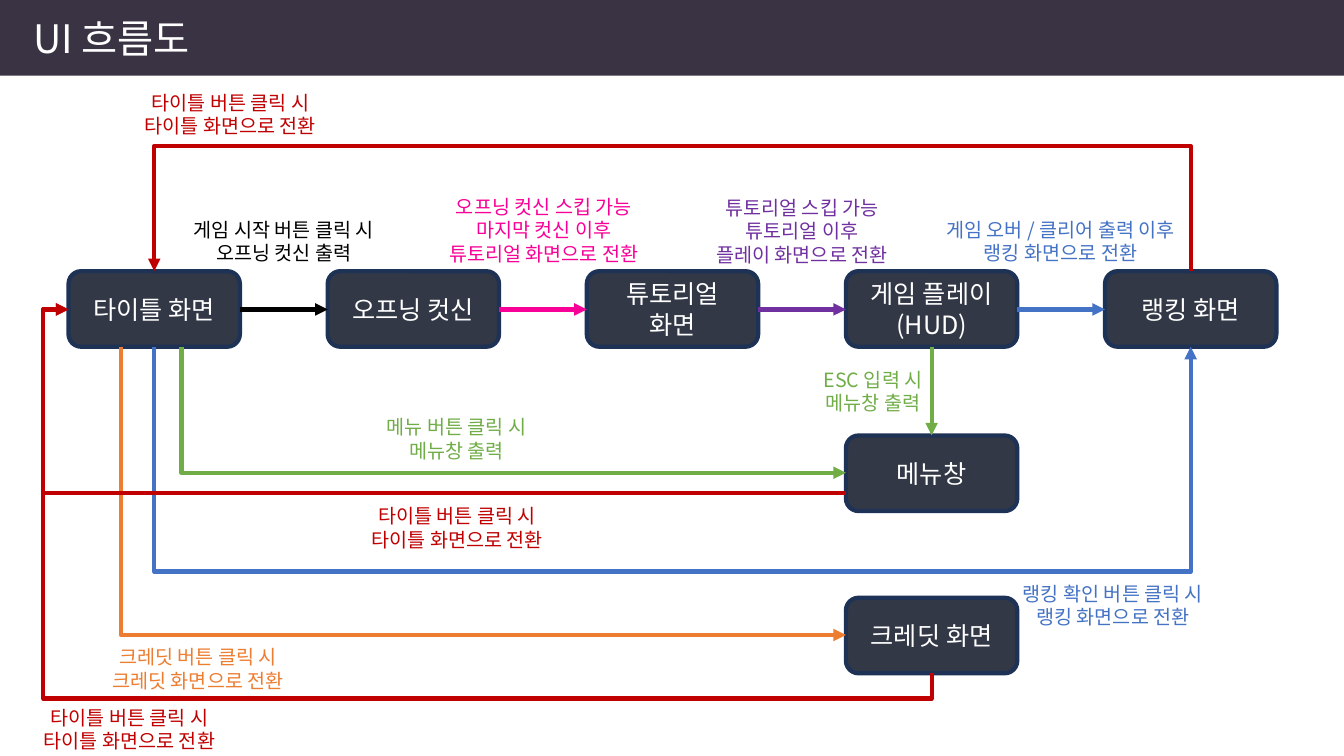
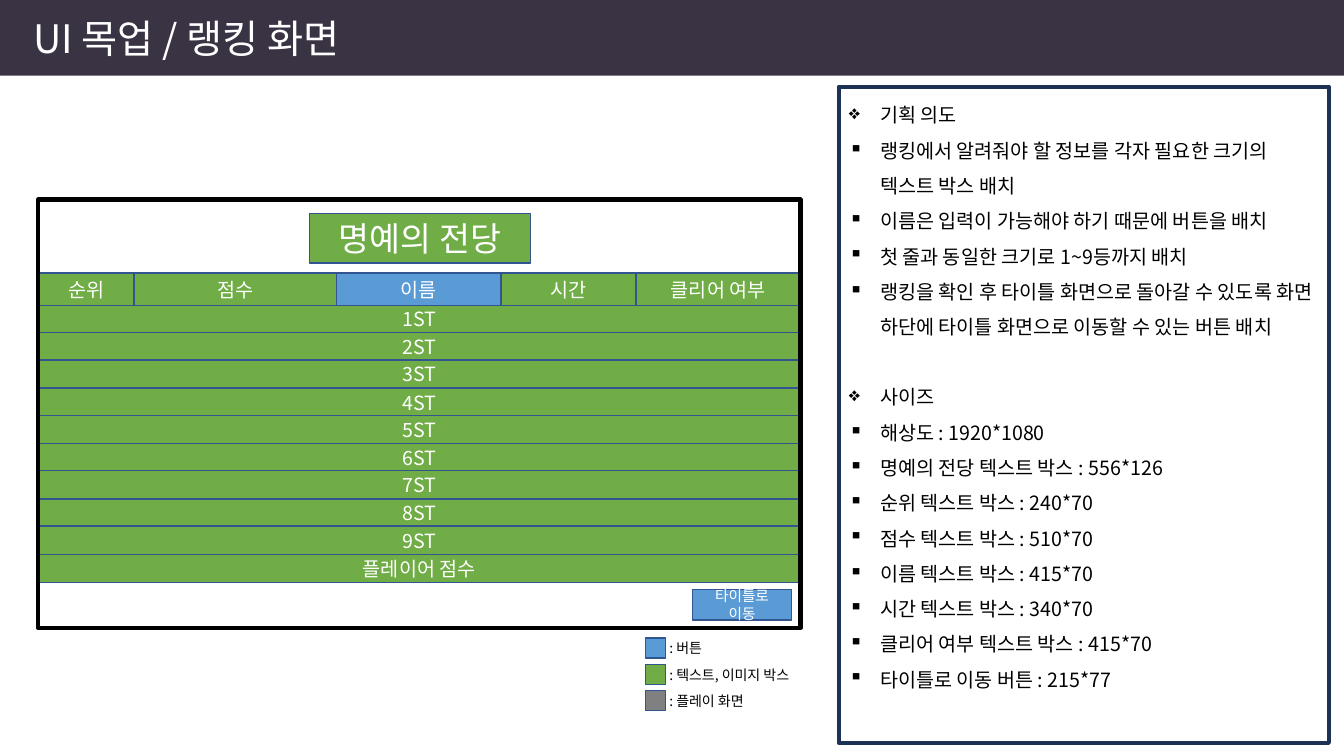
"""Build the UI flow chart slide and the ranking screen mock-up slide."""
from lxml import etree
from pptx import Presentation
from pptx import util as u
from pptx.dml.color import RGBColor
from pptx.enum import shapes, text
from pptx.oxml import ns

PX = 9144
FONT = "Noto Sans CJK KR"
WHITE = RGBColor(0xFF, 0xFF, 0xFF)
BLACK = RGBColor(0x00, 0x00, 0x00)
BAND = RGBColor(0x3A, 0x33, 0x43)
SCREEN = RGBColor(0x32, 0x38, 0x46)
NAVY = RGBColor(0x1E, 0x32, 0x56)
EDGE = RGBColor(0x32, 0x54, 0x91)
RED = RGBColor(0xC0, 0x00, 0x00)
PINK = RGBColor(0xF8, 0x00, 0x97)
PURPLE = RGBColor(0x70, 0x30, 0xA0)
BLUE = RGBColor(0x44, 0x72, 0xC4)
GREEN = RGBColor(0x70, 0xAD, 0x47)
ORANGE = RGBColor(0xED, 0x7D, 0x31)
SKY = RGBColor(0x5B, 0x9B, 0xD5)
GREY = RGBColor(0x80, 0x80, 0x80)
RECT = shapes.MSO_SHAPE.RECTANGLE
ROUND = shapes.MSO_SHAPE.ROUNDED_RECTANGLE
LEFT, CENTER = text.PP_ALIGN.LEFT, text.PP_ALIGN.CENTER
MIDDLE, TOP = text.MSO_ANCHOR.MIDDLE, text.MSO_ANCHOR.TOP


def block(slide, place, words="", size=14, ink=WHITE, align=CENTER, kind=None,
          fill=None, edge=None, weight=1, anchor=MIDDLE):
    """Add a preset shape, or a text box when no kind is given."""
    spot = [n * PX for n in place]
    if kind is None:
        shape = slide.shapes.add_textbox(*spot)
        frame_format = {"word_wrap": True, "vertical_anchor": TOP,
                        "auto_size": text.MSO_AUTO_SIZE.SHAPE_TO_FIT_TEXT}
    else:
        shape = slide.shapes.add_shape(kind, *spot)
        shape.shadow.inherit = False
        frame_format = {"word_wrap": True, "vertical_anchor": anchor}
        for part, colour in ((shape.fill, fill), (shape.line.fill, edge)):
            if colour is None:
                part.background()
            else:
                part.solid()
                part.fore_color.rgb = colour
        if edge is not None:
            shape.line.width = u.Pt(weight)
    frame = shape.text_frame
    for name, value in frame_format.items():
        setattr(frame, name, value)
    frame.text = words
    for paragraph in frame.paragraphs:
        paragraph.alignment = align
        for run in paragraph.runs:
            run.font.color.rgb = ink
            for name, value in {"size": u.Pt(size), "name": FONT}.items():
                setattr(run.font, name, value)
            etree.SubElement(run.font._element, ns.qn("a:ea"), typeface=FONT)
    return shape


def arrow(slide, colour, points):
    """Draw an arrow through the points, as a connector when it is straight."""
    if len(points) == 2:
        ends = [n * PX for point in points for n in point]
        route = slide.shapes.add_connector(shapes.MSO_CONNECTOR.STRAIGHT, *ends)
    else:
        builder = slide.shapes.build_freeform(*points[0], scale=PX)
        builder.add_line_segments(points[1:], close=False)
        route = builder.convert_to_shape()
        route.fill.background()
    route.line.color.rgb = colour
    route.line.width = u.Pt(3)
    properties = route._element.spPr
    etree.SubElement(properties.find(ns.qn("a:ln")), ns.qn("a:tailEnd"), type="triangle")
    etree.SubElement(properties, ns.qn("a:effectLst"))


deck = Presentation()
deck.slide_width, deck.slide_height = u.Inches(13.33), u.Inches(7.5)
pages = []
for title in ("UI 흐름도", "UI 목업 / 랭킹 화면"):
    page = deck.slides.add_slide(deck.slide_layouts[6])
    block(page, (0, 0, 1333, 75), kind=RECT, fill=BAND)
    block(page, (23, 9, 529, 57), title, 28, align=LEFT)
    pages.append(page)
flow, ranking = pages

SCREEN_W, SCREEN_H, STEP = 170, 75, 257
columns = [68 + STEP * i for i in range(5)]
main_row, menu_row, credit_row = 269, 432, 593
screens = list(zip(columns, [main_row] * 5, (
    "타이틀 화면", "오프닝 컷신", "튜토리얼 화면", "게임 플레이(HUD)", "랭킹 화면")))
screens += [(columns[3], menu_row, "메뉴창"), (columns[3], credit_row, "크레딧 화면")]

title_x, play_x, rank_x = [columns[i] + SCREEN_W // 2 for i in (0, 3, 4)]
menu_left, main_y, main_bottom = columns[3], 307, main_row + SCREEN_H
return_x = 43

for x, y, name in screens:
    block(flow, (x, y, SCREEN_W, SCREEN_H), name, 18, kind=ROUND,
          fill=SCREEN, edge=NAVY, weight=3)

for x, colour in zip(columns, (BLACK, PINK, PURPLE, BLUE)):
    arrow(flow, colour, [(x + SCREEN_W, main_y), (x + STEP, main_y)])

routes = [
    (GREEN, [(play_x, main_bottom), (play_x, menu_row)]),
    (ORANGE, [(120, main_bottom), (120, 630), (menu_left, 630)]),
    (BLUE, [(title_x, main_bottom), (title_x, 567), (rank_x, 567), (rank_x, main_bottom)]),
    (RED, [(rank_x, main_row), (rank_x, 145), (title_x, 145), (title_x, main_row)]),
    (GREEN, [(180, main_bottom), (180, 469), (menu_left, 469)]),
    (RED, [(menu_left, 489), (return_x, 489), (return_x, main_y), (columns[0], main_y)]),
    (RED, [(play_x, credit_row + SCREEN_H), (play_x, 693), (return_x, 693),
           (return_x, main_y), (columns[0], main_y)]),
]
for colour, points in routes:
    arrow(flow, colour, points)

to_title = "타이틀 버튼 클릭 시\n타이틀 화면으로 전환"
captions = [
    (156, 211, 251, BLACK, "게임 시작 버튼 클릭 시\n오프닝 컷신 출력"),
    (414, 188, 251, PINK, "오프닝 컷신 스킵 가능\n마지막 컷신 이후\n튜토리얼 화면으로 전환"),
    (670, 189, 251, PURPLE, "튜토리얼 스킵 가능\n튜토리얼 이후\n플레이 화면으로 전환"),
    (903, 211, 298, BLUE, "게임 오버 / 클리어 출력 이후\n랭킹 화면으로 전환"),
    (955, 572, 298, BLUE, "랭킹 확인 버튼 클릭 시\n랭킹 화면으로 전환"),
    (717, 360, 298, GREEN, "ESC 입력 시\n메뉴창 출력"),
    (304, 407, 298, GREEN, "메뉴 버튼 클릭 시\n메뉴창 출력"),
    (71, 635, 251, ORANGE, "크레딧 버튼 클릭 시\n크레딧 화면으로 전환"),
    (103, 85, 251, RED, to_title),
    (328, 495, 251, RED, to_title),
    (3, 695, 251, RED, to_title),
]
for x, y, width, colour, words in captions:
    line_count = words.count("\n") + 1
    block(flow, (x, y, width, 10 + 24 * line_count), words, ink=colour)

legend = ((SKY, ": 버튼"), (GREEN, ": 텍스트, 이미지 박스"), (GREY, ": 플레이 화면"))
for i, (colour, meaning) in enumerate(legend):
    y = 633 + 26 * i
    block(ranking, (640, y, 20, 20), kind=RECT, fill=colour, edge=EDGE)
    block(ranking, (654, y - 3, 170, 27), meaning, 10, BLACK, LEFT)

BOARD_X, BOARD_W = 38, 756
ranks = [f"{n}ST" for n in range(1, 10)] + ["플레이어 점수"]
cells = [(BOARD_X, round(302 + i * 248 / 9), BOARD_W, 28, rank, 14, GREEN)
         for i, rank in enumerate(ranks)]
x = BOARD_X
for heading, width, colour in (("순위", 95, GREEN), ("점수", 201, GREEN), ("이름", 163, SKY),
                               ("시간", 134, GREEN), ("클리어 여부", 163, GREEN)):
    cells.append((x, 271, width, 32, heading, 14, colour))
    x += width
cells += [(307, 212, 219, 49, "명예의 전당", 24, GREEN),
          (687, 585, 98, 30, "타이틀로 이동", 10.5, SKY)]
for *place, words, size, colour in cells:
    block(ranking, place, words, size, kind=RECT, fill=colour, edge=EDGE)
block(ranking, (BOARD_X, 198, BOARD_W, 425), kind=RECT, edge=BLACK, weight=3)

notes = {
    "기획 의도": [
        "랭킹에서 알려줘야 할 정보를 각자 필요한 크기의 텍스트 박스 배치",
        "이름은 입력이 가능해야 하기 때문에 버튼을 배치",
        "첫 줄과 동일한 크기로 1~9등까지 배치",
        "랭킹을 확인 후 타이틀 화면으로 돌아갈 수 있도록 화면 하단에 "
        "타이틀 화면으로 이동할 수 있는 버튼 배치",
    ],
    "사이즈": [
        "해상도 : 1920*1080",
        "명예의 전당 텍스트 박스 : 556*126",
        "순위 텍스트 박스 : 240*70",
        "점수 텍스트 박스 : 510*70",
        "이름 텍스트 박스 : 415*70",
        "시간 텍스트 박스 : 340*70",
        "클리어 여부 텍스트 박스 : 415*70",
        "타이틀로 이동 버튼 : 215*77",
    ],
}
note_lines = [line for topic, items in notes.items() for line in (topic, *items)]
panel = block(ranking, (832, 86, 486, 651), "\n".join(note_lines), ink=BLACK, align=LEFT,
              kind=RECT, fill=WHITE, edge=NAVY, weight=3, anchor=TOP)
for i, paragraph in enumerate(panel.text_frame.paragraphs):
    is_topic = paragraph.text in notes
    paragraph.line_spacing = 1.5
    if is_topic and i:
        paragraph.space_before = u.Pt(25)
    properties = paragraph._p.get_or_add_pPr()
    for name, value in {"marL": 31 * PX, "indent": -31 * PX}.items():
        properties.set(name, str(value))
    etree.SubElement(properties, ns.qn("a:buChar"), char="❖" if is_topic else "▪")

deck.save("out.pptx")
